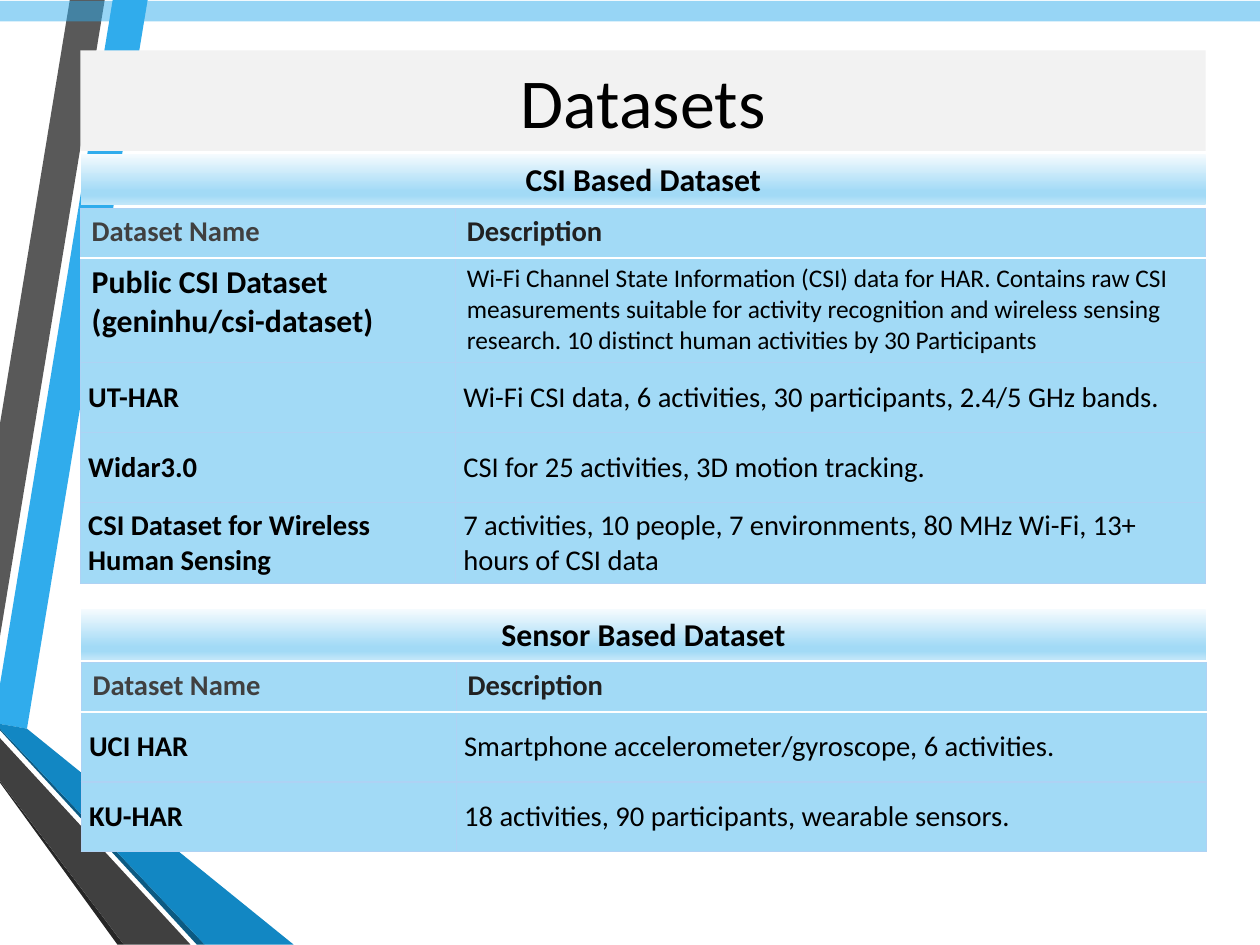
from copy import deepcopy

from lxml import etree
from pptx import Presentation
from pptx.dml.color import RGBColor
from pptx.enum import shapes, text
from pptx.oxml import ns
from pptx.util import Pt

WIDTH, HEIGHT = 793.75, 595.25
BLACK = RGBColor(0x00, 0x00, 0x00)
WHITE = RGBColor(0xFF, 0xFF, 0xFF)
PANEL = RGBColor(0xF2, 0xF2, 0xF2)
NAME_GREY = RGBColor(0x40, 0x40, 0x40)
DESCRIPTION_GREY = RGBColor(0x21, 0x21, 0x21)
SKY = RGBColor(0xA2, 0xDA, 0xF6)
PALE_SKY = RGBColor(0xF5, 0xFB, 0xFE)
SOFT_SKY = RGBColor(0xC1, 0xE6, 0xF9)
BORDER = RGBColor(0xAE, 0xD2, 0xF4)
BLUE = RGBColor(0x30, 0xAC, 0xEC)
DEEP_BLUE = RGBColor(0x12, 0x87, 0xC3)
DARK_BLUE = RGBColor(0x0C, 0x5A, 0x82)
GREY = RGBColor(0x59, 0x59, 0x59)
DARK_GREY = RGBColor(0x40, 0x40, 0x40)
SHADE_GREY = RGBColor(0x26, 0x26, 0x26)

BANNER_STOPS = [(0, PALE_SKY), (0.74, SKY), (0.83, SKY), (1, SOFT_SKY)]
LEFT, TABLE_WIDTH = 50.6, 709
COLUMNS = (236.3, 472.7)
HEADER_HEIGHT, ROW_HEIGHT = 31, 44

RIBBONS = [
    (BLUE, [(0, 431.3), (0, 456.5), (17.3, 459.4), (92.9, 0), (70.6, 0)]),
    (GREY, [(65.5, 0), (43.9, 0), (0, 267.1), (0, 401)]),
    (SHADE_GREY, [(0, 491.8), (0, 493.2), (74.2, HEIGHT), (78.5, HEIGHT)]),
    (DARK_BLUE, [(0, 459.4), (0, 460.1), (123.8, HEIGHT), (128.9, HEIGHT)]),
    (DEEP_BLUE, [(0, 459.4), (128.9, HEIGHT), (185, HEIGHT), (17.3, 459.4), (0, 456.5)]),
    (DARK_GREY, [(0, 491.8), (78.5, HEIGHT), (119.5, HEIGHT), (0, 465.1)]),
]
CSI_ROWS = [
    ("Public CSI Dataset\n(geninhu/csi-dataset)",
     "Wi-Fi Channel State Information (CSI) data for HAR. Contains raw CSI measurements "
     "suitable for activity recognition and wireless sensing research. "
     "10 distinct human activities by 30 Participants"),
    ("UT-HAR", "Wi-Fi CSI data, 6 activities, 30 participants, 2.4/5 GHz bands."),
    ("Widar3.0", "CSI for 25 activities, 3D motion tracking."),
    ("CSI Dataset for Wireless Human Sensing",
     "7 activities, 10 people, 7 environments, 80 MHz Wi-Fi, 13+ hours of CSI data"),
]
SENSOR_ROWS = [
    ("UCI HAR", "Smartphone accelerometer/gyroscope, 6 activities."),
    ("KU-HAR", "18 activities, 90 participants, wearable sensors."),
]


def write(frame, content, size=18, color=BLACK, bold=False, align=text.PP_ALIGN.LEFT):
    para = frame.paragraphs[0]
    para.text = content
    para.alignment = align
    for span in para.runs:
        font = span.font
        font.name, font.size, font.bold = "Calibri", Pt(size), bold
        font.color.rgb = color


def set_border(cell, side, color, width):
    """Draw one side of a cell: L, R, T or B."""
    line = etree.SubElement(cell._tc.get_or_add_tcPr(), ns.qn(f"a:ln{side}"), w=str(Pt(width)))
    fill = etree.SubElement(line, ns.qn("a:solidFill"))
    etree.SubElement(fill, ns.qn("a:srgbClr"), val=str(color))


class DatasetPage:
    """Holds the current slide and draws its elements in one style."""

    def __init__(self, deck):
        self.page = deck.slides.add_slide(deck.slide_layouts[5])

    def paint(self, shape, color):
        shape.shadow.inherit = False
        shape.line.fill.background()
        shape.fill.solid()
        shape.fill.fore_color.rgb = color

    def ribbon(self, color, points):
        start, *others = points
        builder = self.page.shapes.build_freeform(*start, scale=Pt(1))
        builder.add_line_segments(others, close=True)
        self.paint(builder.convert_to_shape(), color)

    def box(self, left, top, width, height, color):
        shape = self.page.shapes.add_shape(
            shapes.MSO_SHAPE.RECTANGLE, Pt(left), Pt(top), Pt(width), Pt(height))
        self.paint(shape, color)
        return shape

    def top_strip(self):
        strip = self.box(0, 0.5, WIDTH, 13, BLUE)
        color = strip.element.spPr.find(".//" + ns.qn("a:srgbClr"))
        etree.SubElement(color, ns.qn("a:alpha"), val="50000")

    def title(self, content):
        title = self.page.shapes.title
        self.page.shapes.element.append(title.element)  # in front of the ribbons
        title.left, title.top = Pt(LEFT), Pt(31.7)
        title.width, title.height = Pt(TABLE_WIDTH), Pt(63.4)
        title.fill.solid()
        title.fill.fore_color.rgb = PANEL
        frame = title.text_frame
        frame.auto_size = text.MSO_AUTO_SIZE.NONE
        frame.vertical_anchor = text.MSO_ANCHOR.MIDDLE
        write(frame, content, size=44.1, align=text.PP_ALIGN.CENTER)

    def banner(self, top, content):
        box = self.box(51.1, top, 708.5, 31.7, SKY)
        box.fill.gradient()
        box.fill.gradient_angle = 270
        stop_list = box.element.spPr.find(".//" + ns.qn("a:gsLst"))
        for _ in BANNER_STOPS[2:]:
            stop_list.append(deepcopy(stop_list[0]))
        for stop, (position, color) in zip(box.fill.gradient_stops, BANNER_STOPS):
            stop.position = position
            stop.color.rgb = color
        frame = box.text_frame
        frame.word_wrap = True
        frame.auto_size = text.MSO_AUTO_SIZE.SHAPE_TO_FIT_TEXT
        frame.vertical_anchor = text.MSO_ANCHOR.TOP
        write(frame, content, size=20, bold=True, align=text.PP_ALIGN.CENTER)

    def cell(self, cell, row, content, roomy, **style):
        """Fill one cell; a roomy cell has wide side margins and text at the top."""
        if not roomy:
            cell.margin_left = cell.margin_right = Pt(5)
            cell.vertical_anchor = text.MSO_ANCHOR.MIDDLE
        for side in "LRTB":
            header_edge = (row, side) in ((0, "B"), (1, "T"))
            set_border(cell, side, *((WHITE, 1.25) if header_edge else (BORDER, 0.75)))
        cell.fill.solid()
        cell.fill.fore_color.rgb = SKY
        write(cell.text_frame, content, **style)

    def table(self, left, top, height, rows, long_row=None):
        """Add a dataset table; long_row is the row with its own text sizes."""
        table = self.page.shapes.add_table(
            len(rows) + 1, 2, Pt(left), Pt(top), Pt(TABLE_WIDTH), Pt(height)).table
        table.first_row = table.horz_banding = False
        for column, width in zip(table.columns, COLUMNS):
            column.width = Pt(width)
        for index, (name, description) in enumerate([("Dataset Name", "Description"), *rows]):
            header, long = index == 0, index == long_row
            table.rows[index].height = Pt(HEADER_HEIGHT if header else ROW_HEIGHT)
            self.cell(table.cell(index, 0), index, name, header or long, bold=True,
                      size=20 if long else 18, color=NAME_GREY if header else BLACK)
            self.cell(table.cell(index, 1), index, description, header or long, bold=header,
                      size=16 if long else 18, color=DESCRIPTION_GREY if header else BLACK)


def main():
    deck = Presentation()
    deck.slide_width, deck.slide_height = Pt(WIDTH), Pt(HEIGHT)
    page = DatasetPage(deck)
    for color, points in RIBBONS:
        page.ribbon(color, points)
    page.top_strip()
    page.title("Datasets")
    page.table(LEFT, 131.5, 249, CSI_ROWS, long_row=1)
    page.banner(97, "CSI Based Dataset")
    page.table(51.1, 417.6, 119, SENSOR_ROWS)
    page.banner(383.8, "Sensor Based Dataset")
    deck.save("out.pptx")


if __name__ == "__main__":
    main()
